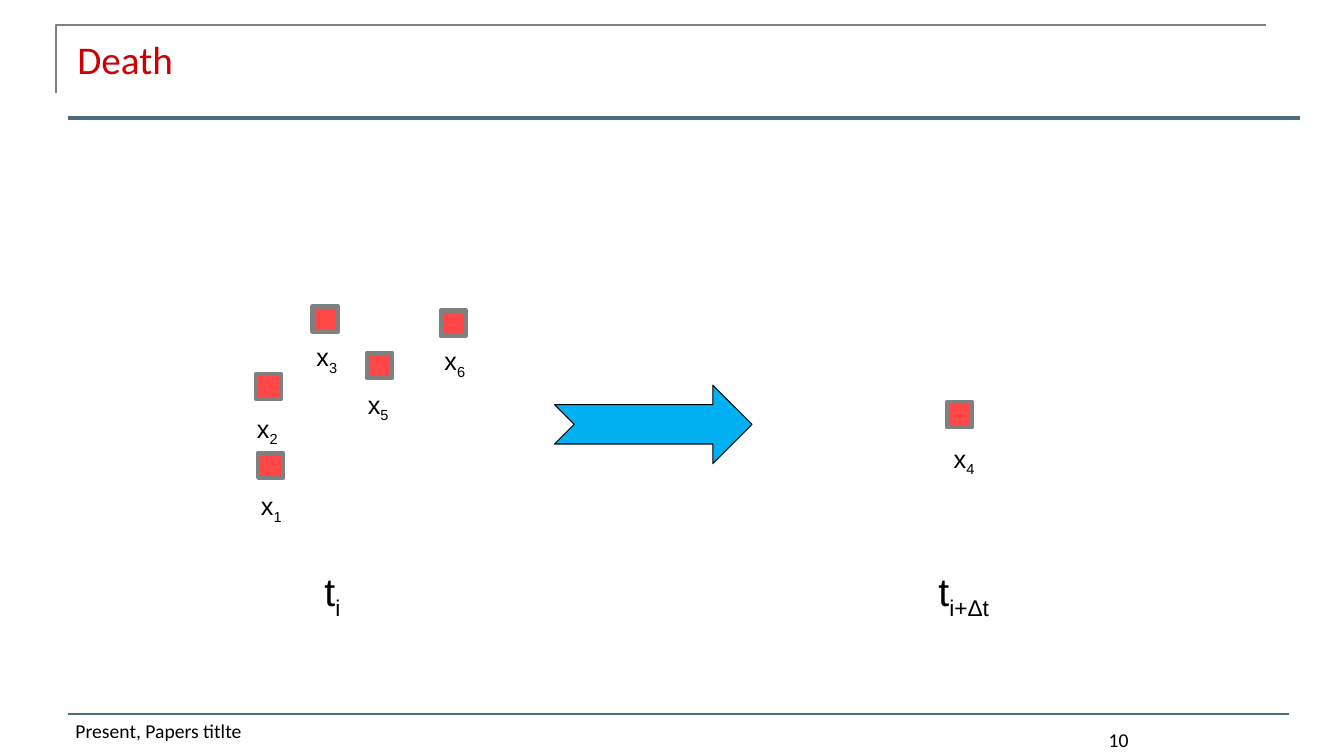
from dataclasses import dataclass

from lxml import etree
from pptx import Presentation
from pptx.dml.color import RGBColor
from pptx.enum.shapes import MSO_CONNECTOR, MSO_SHAPE
from pptx.enum.text import MSO_ANCHOR, MSO_AUTO_SIZE, PP_ALIGN
from pptx.oxml.ns import qn
from pptx.util import Inches, Pt

STRAIGHT = MSO_CONNECTOR.STRAIGHT
RECTANGLE = MSO_SHAPE.RECTANGLE
NOTCHED_ARROW = MSO_SHAPE.NOTCHED_RIGHT_ARROW
TOP, BOTTOM = MSO_ANCHOR.TOP, MSO_ANCHOR.BOTTOM
LEFT, CENTER = PP_ALIGN.LEFT, PP_ALIGN.CENTER
GROW = MSO_AUTO_SIZE.SHAPE_TO_FIT_TEXT

BLACK, GRAY, RED, TEAL = "000000", "808080", "CC0000", "4C6D80"
PARTICLE_FILL, ARROW_FILL = "FF4747", "00B0F0"
PARTICLE_SIZE = 0.25


@dataclass
class Rule:
    left: float
    right: float
    top: float
    weight: float


@dataclass
class Caption:
    text: str
    left: float
    top: float
    width: float
    height: float
    size: int
    color: str = BLACK
    alignment: PP_ALIGN = LEFT
    anchor: MSO_ANCHOR = TOP


@dataclass
class Symbol:
    base: str
    subscript: str
    left: float
    top: float
    width: float = 0.42
    height: float = 0.4
    size: int = 18


@dataclass
class Particle:
    left: float
    top: float
    label: Symbol


RULES = [Rule(0.67, 12.89, 1.17, 3), Rule(0.67, 12.78, 7.08, 1.5)]
CAPTIONS = [
    Caption("Death", 0.67, 0.3, 12, 0.95, 28, RED),
    Caption("10", 9.54, 7, 3.11, 0.5, 14, alignment=CENTER, anchor=BOTTOM),
    Caption("Present, Papers titlte", 0.65, 7.08, 8.17, 0.42, 14),
]
PARTICLES = [
    Particle(2.56, 4.49, Symbol("x", "1", 2.49, 4.82)),
    Particle(2.54, 3.71, Symbol("x", "2", 2.45, 4.05)),
    Particle(3.1, 3.04, Symbol("x", "3", 3.04, 3.34)),
    Particle(9.39, 3.99, Symbol("x", "4", 9.36, 4.35)),
    Particle(3.64, 3.5, Symbol("x", "5", 3.55, 3.81)),
    Particle(4.37, 3.08, Symbol("x", "6", 4.31, 3.38)),
]
TIMES = [
    Symbol("t", "i", 3.12, 5.58, 0.36, 0.57, 28),
    Symbol("t", "i+Δt", 9.21, 5.58, 0.84, 0.57, 28),
]


def rgb(color: str) -> RGBColor:
    return RGBColor.from_string(color)


def set_line(shape, color: str, weight: float) -> None:
    shape.line.color.rgb = rgb(color)
    shape.line.width = Pt(weight)


def set_font(font, name: str, size: int, color: str) -> None:
    font.name = name
    font.size = Pt(size)
    font.color.rgb = rgb(color)


def add_corner(slide) -> None:
    builder = slide.shapes.build_freeform(Inches(0.56), Inches(0.92))
    builder.add_line_segments(
        [(Inches(0.56), Inches(0.25)), (Inches(12.56), Inches(0.25))], close=False
    )
    corner = builder.convert_to_shape()
    corner.shadow.inherit = False
    corner.fill.background()
    set_line(corner, GRAY, 1.5)


def add_rule(slide, rule: Rule) -> None:
    connector = slide.shapes.add_connector(
        STRAIGHT, Inches(rule.left), Inches(rule.top), Inches(rule.right), Inches(rule.top)
    )
    set_line(connector, TEAL, rule.weight)
    etree.SubElement(connector._element.spPr, qn("a:effectLst"))


def add_box(slide, item: Caption | Symbol):
    return slide.shapes.add_textbox(
        Inches(item.left), Inches(item.top), Inches(item.width), Inches(item.height)
    ).text_frame


def add_caption(slide, caption: Caption) -> None:
    text_frame = add_box(slide, caption)
    text_frame.word_wrap = True
    text_frame.vertical_anchor = caption.anchor
    text_frame.text = caption.text
    paragraph = text_frame.paragraphs[0]
    paragraph.alignment = caption.alignment
    set_font(paragraph.runs[0].font, "Calibri", caption.size, caption.color)


def add_symbol(slide, symbol: Symbol) -> None:
    text_frame = add_box(slide, symbol)
    text_frame.word_wrap = False
    text_frame.auto_size = GROW
    paragraph = text_frame.paragraphs[0]
    for text in (symbol.base, symbol.subscript):
        run = paragraph.add_run()
        run.text = text
        set_font(run.font, "Arial", symbol.size, BLACK)
    # The last run is the subscript
    run._r.get_or_add_rPr().set("baseline", "-25000")


def add_filled_shape(slide, kind: MSO_SHAPE, left: float, top: float, width: float,
                     height: float, fill: str, line: str, weight: float) -> None:
    shape = slide.shapes.add_shape(
        kind, Inches(left), Inches(top), Inches(width), Inches(height)
    )
    shape.shadow.inherit = False
    shape.fill.solid()
    shape.fill.fore_color.rgb = rgb(fill)
    set_line(shape, line, weight)


def main() -> None:
    presentation = Presentation()
    presentation.slide_width = Inches(13.33)
    presentation.slide_height = Inches(7.5)
    slide = presentation.slides.add_slide(presentation.slide_layouts[6])

    # Frame, title and footer
    add_corner(slide)
    for rule in RULES:
        add_rule(slide, rule)
    for caption in CAPTIONS:
        add_caption(slide, caption)

    # Particles before and after the step
    for particle in PARTICLES:
        add_filled_shape(slide, RECTANGLE, particle.left, particle.top,
                         PARTICLE_SIZE, PARTICLE_SIZE, PARTICLE_FILL, GRAY, 3)
        add_symbol(slide, particle.label)

    # Time labels and the arrow between them
    for time in TIMES:
        add_symbol(slide, time)
    add_filled_shape(slide, NOTCHED_ARROW, 5.5, 3.82, 1.96, 0.78, ARROW_FILL, BLACK, 0.75)

    presentation.save("out.pptx")


if __name__ == "__main__":
    main()
